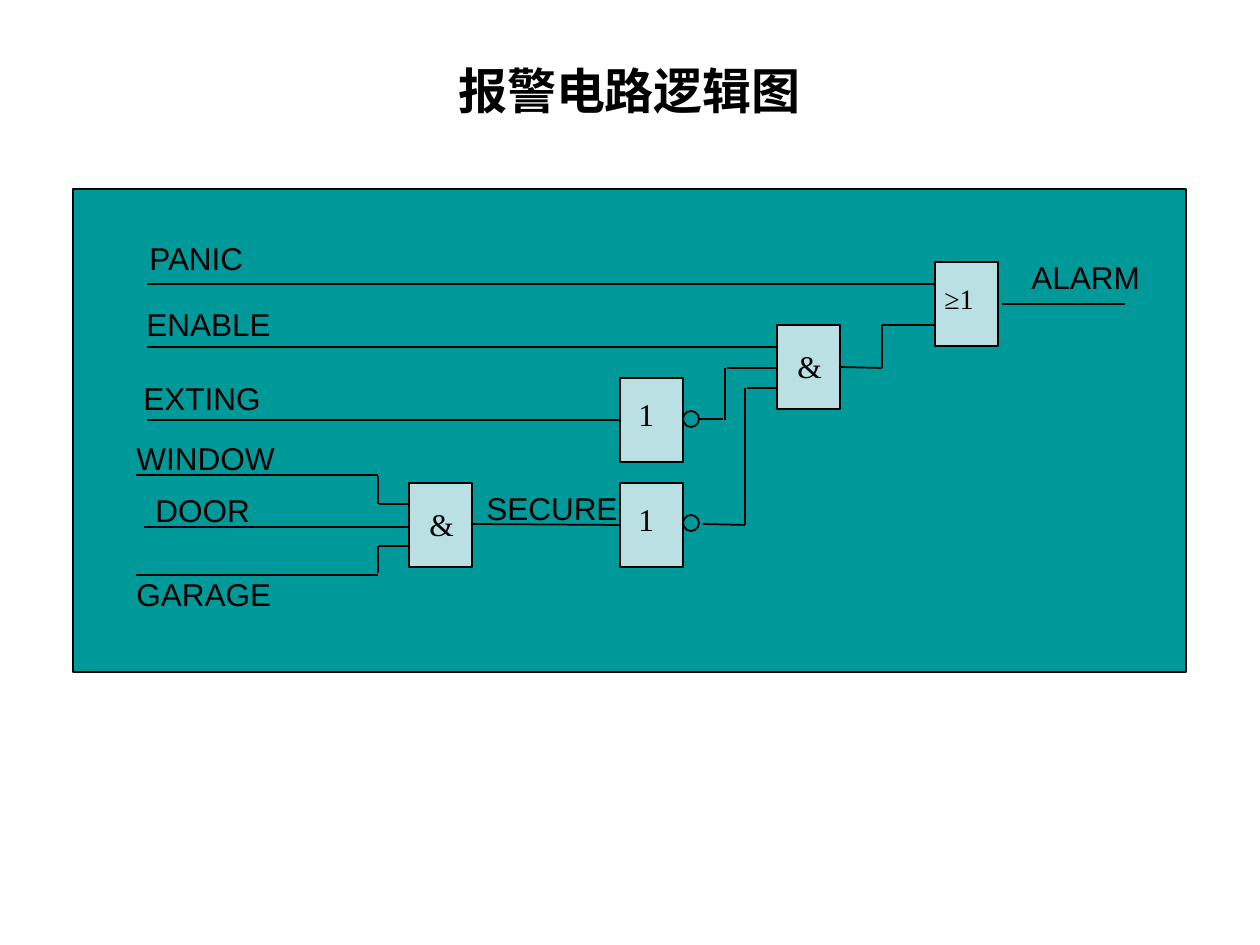
from lxml.etree import SubElement
from pptx import Presentation
from pptx.dml.color import RGBColor
from pptx.enum.shapes import MSO_CONNECTOR, MSO_SHAPE
from pptx.enum.text import MSO_ANCHOR, PP_ALIGN
from pptx.oxml.ns import qn
from pptx.util import Emu, Pt

SCALE = 914400 / 126
INK = {"black": "000000", "panel": "009999", "gate": "BBE0E3"}
GATE = (63, 84)
SIGNS = {"1": (6, 11, 42, 18), "&": (8, 16, 62, 18), "≥1": (-3, 13, 82, 16)}
GATES = [
    (620, 378, "1"), (777, 325, "&"), (935, 262, "≥1"),
    (620, 483, "1"), (409, 483, "&"),
]
BUBBLES = [(683, 411), (683, 515)]
LABELS = [
    ("PANIC", 137, 233, 128), ("ENABLE", 134, 299, 156),
    ("EXTING", 131, 373, 149), ("WINDOW", 124, 433, 170),
    ("DOOR", 143, 485, 127), ("GARAGE", 124, 569, 167),
    ("SECURE", 474, 483, 163), ("ALARM", 1019, 252, 141),
]
THIN = [
    (136, 475, 378, 475), (136, 575, 378, 575), (144, 527, 409, 527),
    (378, 476, 378, 504), (378, 546, 378, 573), (725, 368, 725, 420),
    (745, 388, 745, 525), (882, 325, 882, 368),
]
THICK = [
    (147, 284, 935, 284), (147, 347, 776, 347), (147, 420, 620, 420),
    (379, 504, 409, 504), (379, 546, 409, 546), (473, 524, 620, 525),
    (699, 419, 723, 419), (703, 524, 745, 525), (727, 368, 777, 368),
    (747, 388, 777, 388), (840, 367, 882, 368), (882, 325, 935, 325),
    (1002, 304, 1125, 304),
]


def px(*nums):
    """Turn pixel lengths into EMU."""
    return [Emu(round(n * SCALE)) for n in nums]


def ink(name):
    """Look up a colour by name."""
    return RGBColor.from_string(INK[name])


def style(para, size, face="Arial"):
    """Set the font of a paragraph."""
    para.font.size = Pt(size)
    para.font.name = face
    para.font.color.rgb = ink("black")


def title(slide, text):
    """Place and format the title."""
    head = slide.shapes.title
    head.left, head.top, head.width, head.height = px(94, 53, 1071, 73)
    head.text_frame.text = text
    head.text_frame.vertical_anchor = MSO_ANCHOR.MIDDLE
    para = head.text_frame.paragraphs[0]
    para.alignment = PP_ALIGN.CENTER
    style(para, 28)
    para.font.bold = True


def block(slide, kind, box, width, fill=None):
    """Draw an outlined shape, filled if a colour is given."""
    shape = slide.shapes.add_shape(kind, *px(*box))
    shape.shadow.inherit = False
    if fill:
        shape.fill.solid()
        shape.fill.fore_color.rgb = ink(fill)
    else:
        shape.fill.background()
    shape.line.color.rgb = ink("black")
    shape.line.width = Pt(width)


def label(slide, text, box, size=18, face="Arial"):
    """Write one line of text."""
    frame = slide.shapes.add_textbox(*px(*box)).text_frame
    frame.word_wrap = True
    frame.text = text
    style(frame.paragraphs[0], size, face)


def gate(slide, x, y, sign):
    """Draw a logic gate with its sign."""
    block(slide, MSO_SHAPE.RECTANGLE, (x, y, *GATE), 1.5, "gate")
    dx, dy, wide, size = SIGNS[sign]
    box = (x + dx, y + dy, wide, 50)
    label(slide, sign, box, size, "Times New Roman")


def wire(slide, ends, width):
    """Draw a straight wire."""
    line = slide.shapes.add_connector(MSO_CONNECTOR.STRAIGHT, *px(*ends))
    line.line.color.rgb = ink("black")
    line.line.width = Pt(width)
    SubElement(line._element.spPr, qn("a:effectLst"))


def main():
    """Build the slide and save it."""
    deck = Presentation()
    deck.slide_width, deck.slide_height = px(1260, 945)
    slide = deck.slides.add_slide(deck.slide_layouts[5])
    title(slide, "报警电路逻辑图")
    block(slide, MSO_SHAPE.RECTANGLE, (73, 189, 1113, 483), 0.75, "panel")
    for width, wires in ((0.75, THIN), (1, THICK)):
        for ends in wires:
            wire(slide, ends, width)
    for text, x, y, wide in LABELS:
        label(slide, text, (x, y, wide, 50))
    for x, y, sign in GATES:
        gate(slide, x, y, sign)
    for x, y in BUBBLES:
        block(slide, MSO_SHAPE.OVAL, (x, y, 16, 16), 1)
    deck.save("out.pptx")


if __name__ == "__main__":
    main()
